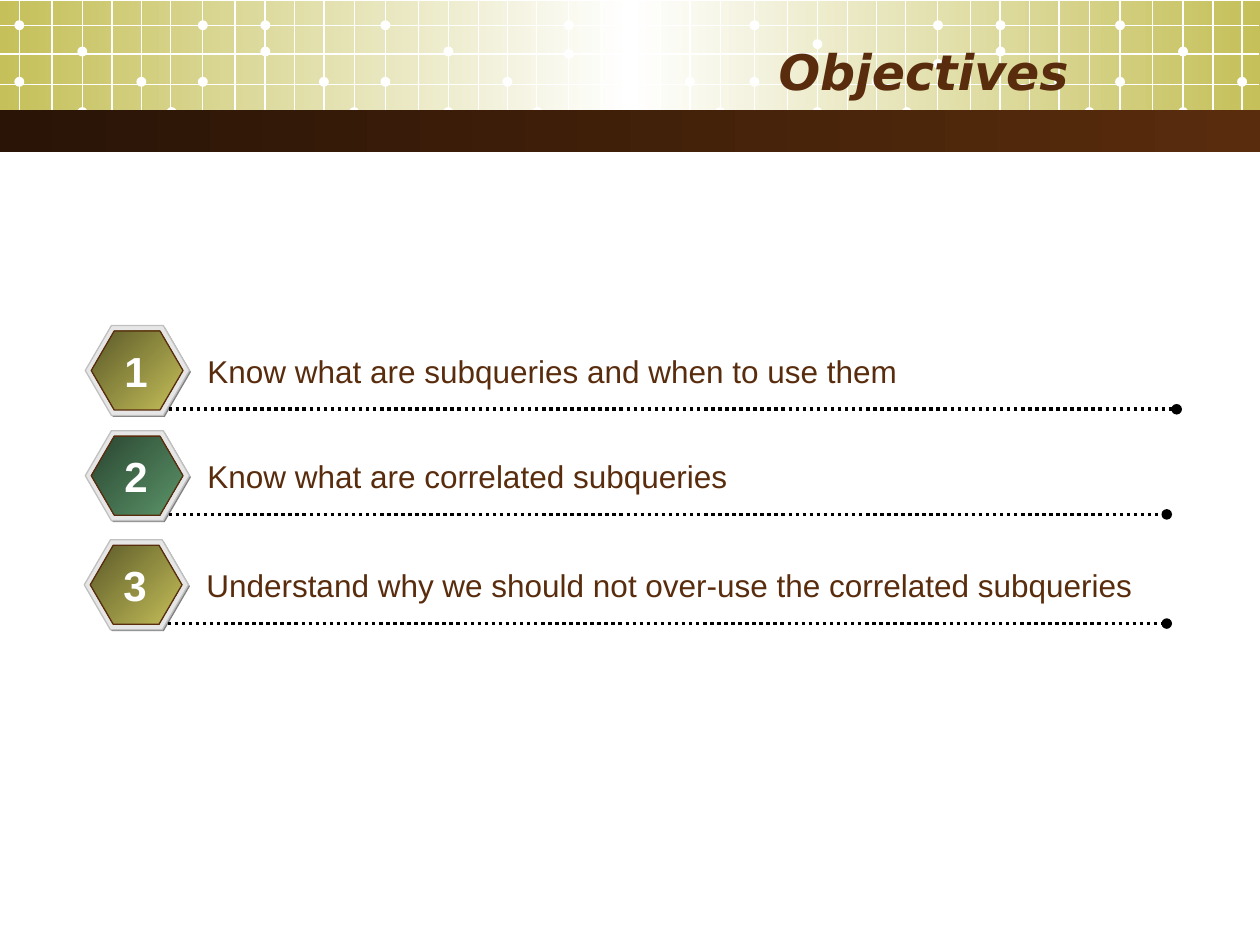
"""Build the Objectives slide: a gridded banner above three numbered goals."""
from copy import deepcopy
from dataclasses import dataclass

from lxml.etree import SubElement
from pptx import Presentation
from pptx.dml.color import RGBColor as RGB
from pptx.enum.dml import MSO_LINE_DASH_STYLE as DASH
from pptx.enum.shapes import MSO_CONNECTOR as LINK, MSO_SHAPE as KIND
from pptx.enum.text import MSO_ANCHOR as ANCHOR, PP_ALIGN as ALIGN
from pptx.oxml.ns import qn
from pptx.util import Cm, Pt


@dataclass(frozen=True)
class Theme:
    white: str = "FFFFFF"
    black: str = "000000"
    brown: str = "592C0D"
    dark: str = "291406"
    gold: str = "C5C059"
    olive: str = "5B5929"
    green: str = "5B9569"
    pine: str = "2A4531"
    shade: str = "808080"
    pale: str = "E6E6E6"
    edge: str = "C0C0C0"
    head: int = 28
    mark: int = 24
    body: int = 18
    thin: float = 0.75
    bold: float = 2


theme = Theme()
deck = Presentation()
deck.slide_width, deck.slide_height = Cm(25.4), Cm(19.05)
slide = deck.slides.add_slide(deck.slide_layouts[6])
shapes = slide.shapes


def form(kind, box, hues, angle=0, edge=None):
    shape = shapes.add_shape(kind, *map(Cm, box))
    shape.shadow.inherit = False
    fill = shape.fill
    if len(hues) == 1:
        fill.solid()
        fill.fore_color.rgb = RGB.from_string(hues[0])
    else:
        fill.gradient()
        fill.gradient_angle = angle
        stops = shape.element.spPr.find(".//" + qn("a:gsLst"))
        for _ in hues[2:]:
            stops.insert(1, deepcopy(stops[0]))
        for i, (stop, hue) in enumerate(zip(fill.gradient_stops, hues)):
            stop.color.rgb = RGB.from_string(hue)
            stop.position = i / (len(hues) - 1)
    if edge:
        shape.line.color.rgb = RGB.from_string(edge)
        shape.line.width = Pt(theme.thin)
    else:
        shape.line.fill.background()
    return shape


def wire(ends, hue, width):
    link = shapes.add_connector(LINK.STRAIGHT, *map(Cm, ends))
    link.line.color.rgb = RGB.from_string(hue)
    link.line.width = Pt(width)
    SubElement(link.element.spPr, qn("a:effectLst"))
    return link


form(KIND.RECTANGLE, (0, 0.03, 25.4, 2.59), (theme.gold, theme.white, theme.gold))

tiles = [(0.39, 0.94, 1.55), (7.77, 0.94, 0.99), (15.21, 0.79, 1.19), (22.58, 0.94, 1.55)]
steps = [0, 0.66, 1.27, 1.87, 2.46, 3.05, 3.69, 4.35, 4.95, 5.55, 6.14, 6.76]
for left, high, low in tiles:
    dots = [
        (0, 0.41), (0, 1.55), (1.27, high), (1.27, 2.16), (2.46, 1.55), (3.07, 2.16),
        (3.7, 0.41), (3.7, low), (4.96, 0.41), (4.96, 0.94), (6.14, 1.55), (6.75, 2.16),
    ]
    for x, y in dots:
        if left + x < 25.4:
            form(KIND.OVAL, (left + x - 0.1, y, 0.2, 0.2), (theme.white,))
    for step in steps:
        if left + step < 25.4:
            wire((left + step, 0, left + step, 2.79), theme.white, theme.thin)
for y in (0.51, 1.09, 1.7, 2.26):
    wire((0, y, 25.38, y), theme.white, theme.thin)

form(KIND.RECTANGLE, (0, 2.22, 25.4, 0.85), (theme.dark, theme.brown))

title = {"name": "DejaVu Sans", "size": Pt(theme.head), "bold": True, "italic": True}
label = {"name": "Arial", "size": Pt(theme.body)}
digit = {"name": "Arial", "size": Pt(theme.mark), "bold": True}
texts = [("Objectives", (1.27, 0.64, 20.52, 1.57), title, theme.brown, ALIGN.RIGHT, True)]

warm, cool = (theme.olive, theme.gold), (theme.pine, theme.green)
goals = [
    ("Know what are subqueries and when to use them", 1.72, 6.56, 23.72, warm),
    ("Know what are correlated subqueries", 1.72, 8.68, 23.52, cool),
    ("Understand why we should not over-use the correlated subqueries", 1.7, 10.88, 23.52, warm),
]
for i, (goal, x, y, end, hues) in enumerate(goals, 1):
    layers = [
        ((x + 0.03, y + 0.03, 2.1, 1.82), (theme.shade,), None),
        ((x, y, 2.1, 1.82), (theme.pale,), theme.edge),
        ((x + 0.12, y + 0.11, 1.85, 1.6), hues, theme.brown),
    ]
    for box, tint, edge in layers:
        badge = form(KIND.HEXAGON, box, tint, 315, edge)
        badge.adjustments[0], badge.adjustments[1] = 0.29, 1.15
    rule = wire((x + 1.68, y + 1.69, end, y + 1.69), theme.black, theme.bold)
    rule.line.dash_style = DASH.ROUND_DOT
    SubElement(rule.element.spPr.find(qn("a:ln")), qn("a:tailEnd"), type="oval")
    texts += [
        (goal, (x + 2.21, y + 0.41, 19.9, 1.02), label, theme.brown, ALIGN.LEFT, True),
        (str(i), (x + 0.54, y + 0.27, 0.97, 1.27), digit, theme.white, ALIGN.CENTER, False),
    ]

for text, box, style, hue, align, wrap in texts:
    frame = shapes.add_textbox(*map(Cm, box)).text_frame
    frame.word_wrap = wrap
    frame.vertical_anchor = ANCHOR.MIDDLE
    para = frame.paragraphs[0]
    para.alignment = align
    run = para.add_run()
    run.text = text
    for key, value in style.items():
        setattr(run.font, key, value)
    run.font.color.rgb = RGB.from_string(hue)

deck.save("out.pptx")
